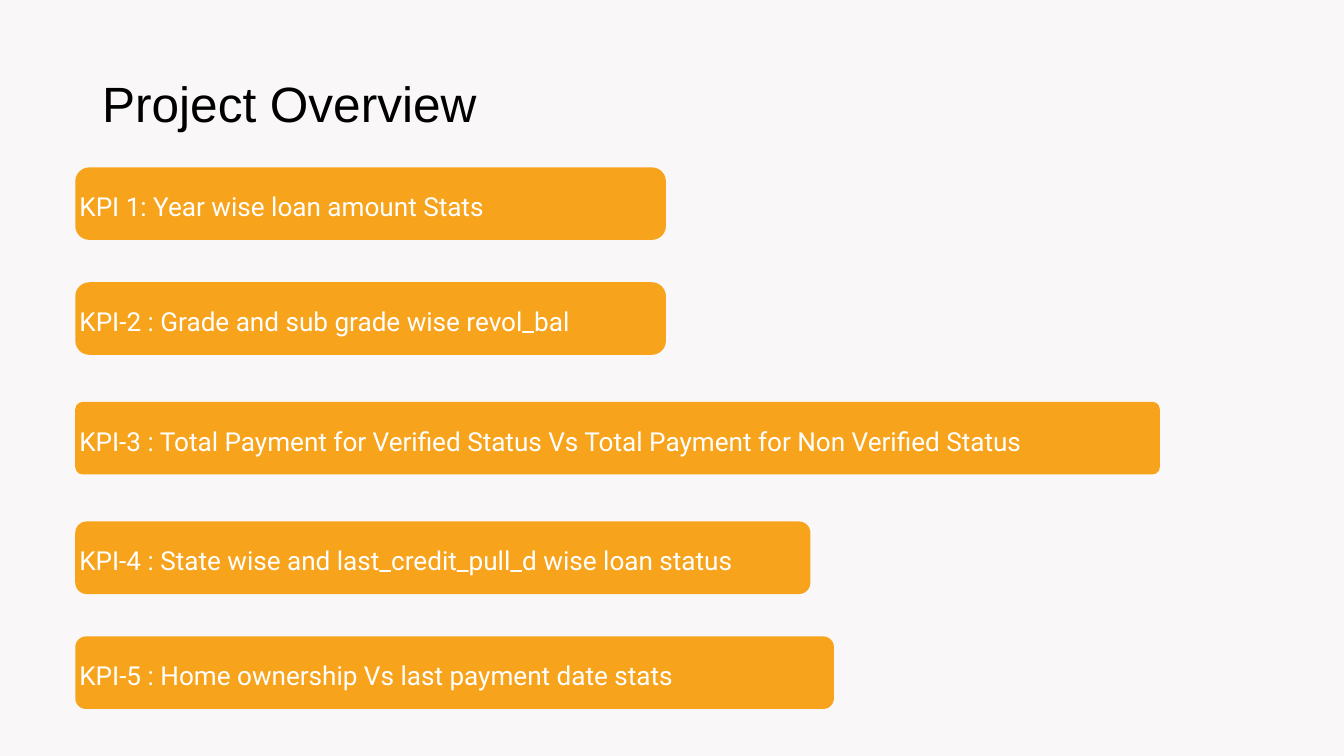
from pptx import Presentation
from pptx.dml.color import RGBColor
from pptx.enum.shapes import MSO_SHAPE as Shape
from pptx.enum.text import MSO_ANCHOR as Anchor, MSO_AUTO_SIZE as AutoSize, PP_ALIGN as Align
from pptx.util import Inches, Pt


def color(hex_string):
    return RGBColor.from_string(hex_string)


def write_text(shape, text, font="Roboto", size=28, fill="FFFFFF", align=Align.LEFT,
               anchor=Anchor.MIDDLE, spacing=39.2, inset=0, left_inset=0):
    frame = shape.text_frame
    frame.word_wrap = True
    frame.auto_size = AutoSize.NONE
    frame.vertical_anchor = anchor
    frame.margin_top = frame.margin_right = frame.margin_bottom = Inches(inset)
    frame.margin_left = Inches(left_inset)
    paragraph = frame.paragraphs[0]
    paragraph.alignment = align
    paragraph.line_spacing = Pt(spacing)
    run = paragraph.add_run()
    run.text = text
    run.font.name = font
    run.font.size = Pt(size)
    run.font.color.rgb = color(fill)


presentation = Presentation()
presentation.slide_width = Inches(20)
presentation.slide_height = Inches(11.25)
slide = presentation.slides.add_slide(presentation.slide_layouts[5])
slide.background.fill.solid()
slide.background.fill.fore_color.rgb = color("F9F7F8")

# Title
title = slide.shapes.title
title.left, title.top = Inches(0.69), Inches(0.94)
title.width, title.height = Inches(7.23), Inches(0.99)
write_text(title, "Project Overview", font="Arial", size=53.1, fill="000000",
           align=Align.CENTER, anchor=Anchor.TOP, spacing=74.3)

# KPI bars: top, width, corner radius, text
BAR_LEFT, BAR_HEIGHT, TEXT_INSET = 1.12, 1.08, 0.06
CORNER_INSET = 0.29  # share of the radius that a rounded rectangle insets its text
bars = [
    (2.49, 8.79, 0.21, "KPI 1: Year wise loan amount Stats"),
    (4.20, 8.79, 0.21, "KPI-2 : Grade and sub grade wise revol_bal"),
    (5.98, 16.14, 0.11, "KPI-3 : Total Payment for Verified Status Vs Total Payment for Non Verified Status"),
    (7.76, 10.94, 0.17, "KPI-4 : State wise and last_credit_pull_d wise loan status"),
    (9.47, 11.29, 0.16, "KPI-5 : Home ownership Vs last payment date stats"),
]
for top, width, radius, text in bars:
    bar = slide.shapes.add_shape(Shape.ROUNDED_RECTANGLE, Inches(BAR_LEFT), Inches(top),
                                 Inches(width), Inches(BAR_HEIGHT))
    bar.adjustments[0] = radius / BAR_HEIGHT
    bar.shadow.inherit = False
    bar.fill.solid()
    bar.fill.fore_color.rgb = color("F8A31C")
    bar.line.fill.background()
    write_text(bar, text, left_inset=max(0, TEXT_INSET - CORNER_INSET * radius))

presentation.save("out.pptx")
